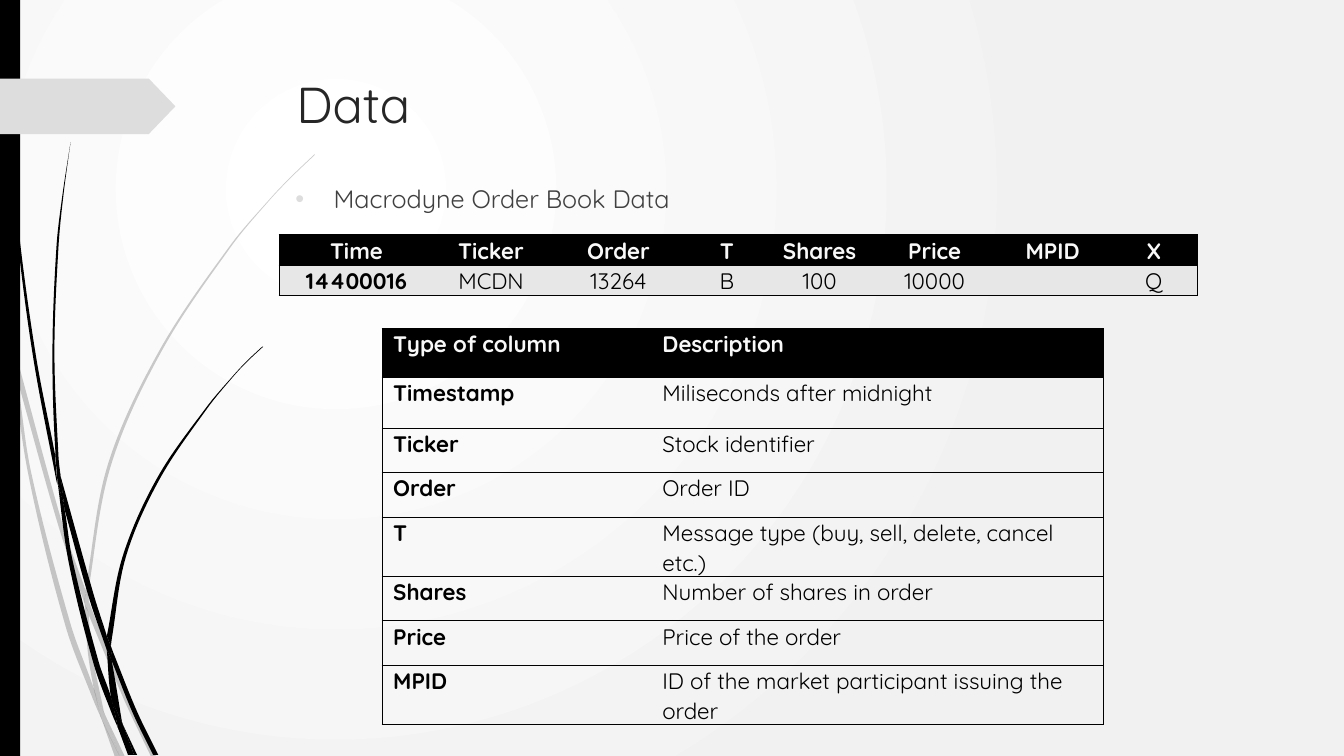
import math
from dataclasses import dataclass, field
from typing import Any, NamedTuple

from lxml import etree
from pptx import Presentation
from pptx import util as u
from pptx.dml.color import RGBColor
from pptx.enum import shapes, text
from pptx.oxml.ns import qn

COLUMNS, ROWS = 1333, 750
CELL = u.Inches(0.01)

Point = tuple[float, float]


@dataclass(frozen=True)
class Theme:
    face: str = "Quicksand"
    black: RGBColor = RGBColor(0, 0, 0)
    title_ink: RGBColor = RGBColor(0x26, 0x26, 0x26)
    body_ink: RGBColor = RGBColor(0x40, 0x40, 0x40)
    header_ink: RGBColor = RGBColor(0xF8, 0xF8, 0xF8)
    band: RGBColor = RGBColor(0xE7, 0xE7, 0xE7)
    accent: RGBColor = RGBColor(0xDD, 0xDD, 0xDD)
    glow: RGBColor = RGBColor(0xFF, 0xFF, 0xFF)
    haze: RGBColor = RGBColor(0xF1, 0xF1, 0xF1)
    title_size: u.Pt = u.Pt(36)
    body_size: u.Pt = u.Pt(18)
    table_size: u.Pt = u.Pt(16)


THEME = Theme()


class Box(NamedTuple):
    left: int
    top: int
    width: int
    height: int

    def emu(self) -> list[int]:
        return [cells * CELL for cells in self]


class Blade(NamedTuple):
    outward: list[Point]
    back: list[Point]


@dataclass(frozen=True)
class Grid:
    left: int
    top: int
    widths: list[int]
    heights: list[int]
    content: list[list[str]]
    rule: float
    align: Any
    body_fill: RGBColor | None = None
    margins: dict[str, int] = field(default_factory=lambda: {
        "margin_left": 11 * CELL, "margin_right": 11 * CELL, "margin_top": 0, "margin_bottom": 0})


PALE_GRASS = [
    Blade([(11, 350), (9, 322), (0, 282)], [(0, 299), (10, 344), (11, 350)]),
    Blade([(17, 376), (58, 522), (84, 599)], [(85, 586), (62, 520), (14, 345)]),
    Blade([(88, 610), (123, 694), (150, 751)], [(155, 751), (127, 692), (92, 607), (88, 596)]),
    Blade([(105, 711), (119, 751)], [(124, 751), (105, 711)]),
    Blade([(11, 350), (28, 470), (65, 621), (92, 693), (101, 714)],
          [(99, 707), (93, 683), (70, 619), (31, 469), (17, 376), (11, 350)]),
    Blade([(84, 599), (87, 646), (93, 683), (96, 692), (105, 711)],
          [(103, 706), (91, 646), (88, 610), (88, 608), (84, 599)]),
    Blade([(88, 596), (88, 584), (110, 462), (160, 349), (229, 245), (268, 198), (290, 175), (312, 154)],
          [(312, 153), (289, 175), (268, 197), (228, 244), (158, 348), (107, 461), (85, 584), (85, 586)]),
    Blade([(101, 714), (114, 751)], [(119, 751), (101, 714)]),
    Blade([(88, 610), (88, 596)], [(85, 586), (84, 599), (88, 608)]),
    Blade([(93, 683), (99, 707), (101, 714), (119, 751)], [(105, 711), (96, 692), (93, 683)]),
]
DARK_GRASS = [
    Blade([(3, 0), (4, 48), (7, 110), (17, 233), (33, 355), (56, 477), (57, 481)],
          [(55, 457), (55, 453), (36, 355), (19, 232), (8, 109), (5, 48), (4, 0)]),
    Blade([(64, 505), (88, 592), (106, 645)], [(106, 633), (106, 631), (93, 590), (60, 472)]),
    Blade([(111, 656), (132, 708), (152, 749)], [(157, 749), (136, 706), (113, 649), (110, 641)]),
    Blade([(57, 477), (68, 557), (93, 659), (111, 708), (117, 722)],
          [(116, 717), (110, 691), (98, 657), (72, 556), (64, 505), (57, 477)]),
    Blade([(60, 472), (58, 453), (54, 349), (58, 245), (63, 193), (70, 141)],
          [(70, 141), (62, 193), (56, 245), (52, 349), (55, 449), (60, 472)]),
    Blade([(122, 719), (133, 749)], [(136, 749), (122, 719)]),
    Blade([(55, 449), (60, 472), (64, 505)], [(57, 477), (55, 453)]),
    Blade([(110, 641), (111, 633), (125, 552), (158, 476), (205, 406), (231, 374), (245, 359), (261, 344)],
          [(260, 344), (245, 358), (231, 373), (204, 405), (156, 474), (122, 551), (106, 631)]),
    Blade([(117, 722), (127, 749)], [(131, 749), (117, 722)]),
    Blade([(106, 645), (110, 691), (116, 706), (122, 719)], [(121, 716), (111, 656), (109, 651), (106, 645)]),
    Blade([(106, 631), (106, 645)], [(109, 651), (111, 656), (110, 641)]),
    Blade([(110, 691), (116, 717), (117, 722), (130, 749)], [(133, 749), (122, 719), (116, 706), (110, 691)]),
]

ORDER_RECORD = Grid(
    277, 233, [153, 114, 139, 76, 108, 120, 114, 87], [30, 30],
    [["Time", "Ticker", "Order", "T", "Shares", "Price", "MPID", "X"],
     ["14400016", "MCDN", "13264", "B", "100", "10000", "", "Q"]],
    1, text.PP_ALIGN.CENTER, THEME.band)
COLUMN_GUIDE = Grid(
    379, 326, [267, 448], [48, 51, 44, 44, 59, 44, 44, 59],
    [["Type of column", "Description"],
     ["Timestamp", "Miliseconds after midnight"],
     ["Ticker", "Stock identifier"],
     ["Order", "Order ID"],
     ["T", "Message type (buy, sell, delete, cancel etc.)"],
     ["Shares", "Number of shares in order"],
     ["Price", "Price of the order"],
     ["MPID", "ID of the market participant issuing the order"]],
    0.75, text.PP_ALIGN.LEFT)


def assign(target: Any, values: dict[str, Any]) -> None:
    for key, value in values.items():
        setattr(target, key, value)


def add_xml(parent: Any, tag: str, **attributes: Any) -> Any:
    return etree.SubElement(parent, qn(tag), {key: str(value) for key, value in attributes.items()})


def paint(shape: Any, color: RGBColor) -> None:
    shape.shadow.inherit = False
    shape.fill.solid()
    shape.fill.fore_color.rgb = color
    shape.line.fill.background()


def write(paragraph: Any, words: str, size: u.Pt, ink: RGBColor, bold: bool = False) -> None:
    run = paragraph.add_run()
    run.text = words
    assign(run.font, {"name": THEME.face, "size": size, "bold": bold})
    run.font.color.rgb = ink


def handles(knots: list[Point]) -> list[list[Point]]:
    padded = [knots[0], *knots, knots[-1]]
    pairs = []
    for before, start, end, after in zip(padded, padded[1:], padded[2:], padded[3:]):
        reach = math.dist(start, end) / 3
        pair = []
        for knot, tail, head, sign in ((start, before, end, 1), (end, start, after, -1)):
            scale = sign * reach / (math.dist(tail, head) or 1)
            pair.append((knot[0] + scale * (head[0] - tail[0]), knot[1] + scale * (head[1] - tail[1])))
        pairs.append(pair)
    return pairs


def draw_grass(slide: Any, blades: list[Blade], opacity: int) -> None:
    tuft = slide.shapes.add_group_shape().shapes
    for blade in blades:
        outline = [(x * CELL, y * CELL) for x, y in blade.outward + blade.back]
        pen = tuft.build_freeform(*outline[0])
        pen.add_line_segments(outline[1:], close=True)
        leaf = pen.convert_to_shape()
        paint(leaf, THEME.black)
        bends = handles(blade.outward) + [[]] + handles(blade.back)
        for segment, pair in zip(list(leaf.element.iter(qn("a:lnTo"))), bends):
            if pair:
                segment.tag = qn("a:cubicBezTo")
            for index, (x, y) in enumerate(pair):
                handle = add_xml(segment, "a:pt", x=round(x * CELL - leaf.left), y=round(y * CELL - leaf.top))
                segment.insert(index, handle)
        if opacity < 100:
            add_xml(leaf.element.spPr.find(".//" + qn("a:srgbClr")), "a:alpha", val=opacity * 1000)


def draw_text(slide: Any, box: Box, words: str, size: u.Pt, ink: RGBColor) -> Any:
    frame = slide.shapes.add_textbox(*box.emu()).text_frame
    frame.word_wrap = True
    write(frame.paragraphs[0], words, size, ink)
    return frame.paragraphs[0]


def draw_bullet(paragraph: Any) -> None:
    paragraph.space_before = u.Pt(10)
    props = paragraph._p.get_or_add_pPr()
    for key, cells in {"marL": 38, "indent": -38}.items():
        props.set(key, str(cells * CELL))
    add_xml(add_xml(props, "a:buClr"), "a:srgbClr", val=THEME.accent)
    add_xml(props, "a:buFont", typeface="Arial")
    add_xml(props, "a:buChar", char="•")


def draw_rules(cell: Any, drawn: dict[str, bool], width: float) -> None:
    props = cell._tc.get_or_add_tcPr()
    for index, (edge, visible) in enumerate(drawn.items()):
        rule = add_xml(props, f"a:ln{edge}", w=u.Pt(width))
        if visible:
            add_xml(add_xml(rule, "a:solidFill"), "a:srgbClr", val=THEME.black)
        else:
            add_xml(rule, "a:noFill")
        props.insert(index, rule)


def draw_table(slide: Any, grid: Grid) -> None:
    box = Box(grid.left, grid.top, sum(grid.widths), sum(grid.heights))
    table = slide.shapes.add_table(len(grid.heights), len(grid.widths), *box.emu()).table
    assign(table, {"first_row": False, "horz_banding": False})
    for column, width in zip(table.columns, grid.widths):
        column.width = width * CELL
    for r, (row, height, entries) in enumerate(zip(table.rows, grid.heights, grid.content)):
        row.height = height * CELL
        fill = grid.body_fill if r else THEME.black
        for c, (cell, words) in enumerate(zip(row.cells, entries)):
            assign(cell, grid.margins)
            paragraph = cell.text_frame.paragraphs[0]
            assign(paragraph, {"alignment": grid.align, "line_spacing": 1.07})
            if words:
                write(paragraph, words, THEME.table_size, THEME.black if r else THEME.header_ink, r == 0 or c == 0)
            else:
                add_xml(paragraph._p, "a:endParaRPr", sz=int(THEME.table_size.pt * 100))
            if fill is None:
                cell.fill.background()
            else:
                cell.fill.solid()
                cell.fill.fore_color.rgb = fill
            draw_rules(cell, {"L": c == 0, "R": c == len(entries) - 1, "T": True, "B": True}, grid.rule)


def draw_background(slide: Any) -> None:
    fill = slide.background.fill
    fill.gradient()
    for stop, color in zip(fill.gradient_stops, (THEME.glow, THEME.haze)):
        stop.color.rgb = color
    gradient = slide.element.find(".//" + qn("a:gradFill"))
    gradient.remove(gradient.find(qn("a:lin")))
    add_xml(add_xml(gradient, "a:path", path="circle"), "a:fillToRect", l=50000, t=50000, r=100000, b=100000)


def main() -> None:
    deck = Presentation()
    assign(deck, {"slide_width": COLUMNS * CELL, "slide_height": ROWS * CELL})
    slide = deck.slides.add_slide(deck.slide_layouts[6])
    draw_background(slide)
    draw_grass(slide, PALE_GRASS, 20)
    draw_grass(slide, DARK_GRASS, 100)
    paint(slide.shapes.add_shape(shapes.MSO_SHAPE.RECTANGLE, *Box(0, 0, 20, ROWS).emu()), THEME.black)
    marker = slide.shapes.add_shape(shapes.MSO_SHAPE.PENTAGON, *Box(0, 78, 174, 55).emu())
    marker.adjustments[0] = 0.48
    paint(marker, THEME.accent)
    draw_text(slide, Box(284, 68, 975, 140), "Data", THEME.title_size, THEME.title_ink)
    draw_bullet(draw_text(slide, Box(283, 177, 975, 413), "Macrodyne Order Book Data",
                          THEME.body_size, THEME.body_ink))
    draw_table(slide, ORDER_RECORD)
    draw_table(slide, COLUMN_GUIDE)
    deck.save("out.pptx")


if __name__ == "__main__":
    main()
